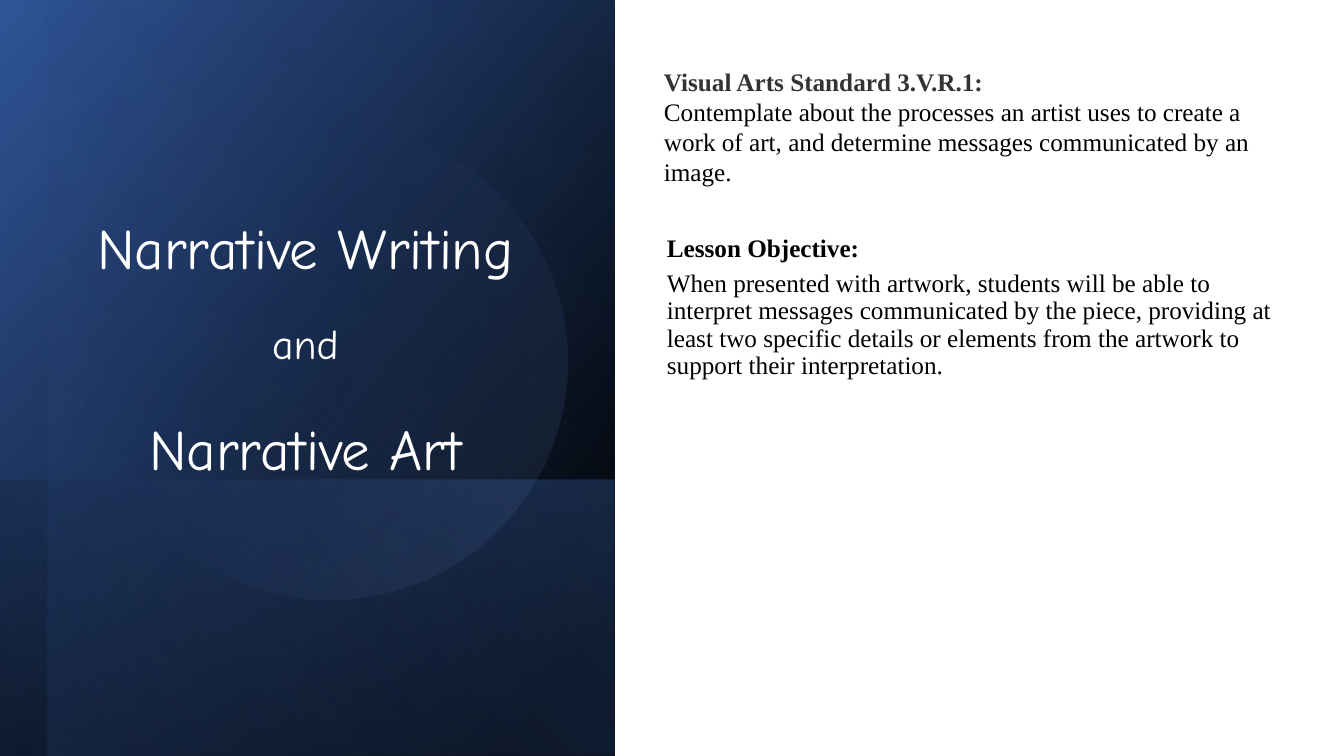
from dataclasses import dataclass

from pptx import Presentation
from pptx.dml.color import RGBColor
from pptx.enum.shapes import MSO_SHAPE
from pptx.enum.text import MSO_ANCHOR, MSO_AUTO_SIZE, PP_ALIGN
from pptx.oxml import parse_xml
from pptx.oxml.ns import nsdecls, qn
from pptx.slide import Slide
from pptx.text.text import TextFrame
from pptx.util import Emu, Pt

EMU_PER_PX = 914400 / 100.8
BLACK = RGBColor(0x00, 0x00, 0x00)
WHITE = RGBColor(0xFF, 0xFF, 0xFF)
CHARCOAL = RGBColor(0x33, 0x33, 0x33)
NAVY = RGBColor(0x2F, 0x55, 0x97)
BLUE = RGBColor(0x44, 0x72, 0xC4)
PALE_BLUE = RGBColor(0x8F, 0xAA, 0xDC)
TITLE_FONT = "Comic Neue"
BODY_FONT = "Times New Roman"


@dataclass(frozen=True)
class Box:
    left: int
    top: int
    width: int
    height: int


@dataclass(frozen=True)
class Stop:
    position: int
    color: RGBColor
    opacity: int = 100


@dataclass(frozen=True)
class Backdrop:
    """A gradient shape; its box is the area it covers after a quarter turn."""
    box: Box
    stops: tuple[Stop, Stop]
    angle: int
    preset: MSO_SHAPE = MSO_SHAPE.RECTANGLE
    rotation: float = 90
    mirrored: bool = True


@dataclass(frozen=True)
class Words:
    text: str
    size: float
    color: RGBColor = BLACK
    bold: bool = False
    font: str = BODY_FONT


@dataclass(frozen=True)
class Paragraph:
    """Its runs are parted by line breaks."""
    runs: tuple[Words, ...]
    space_after: float = 6
    line_spacing: float = 1.0
    align: PP_ALIGN = PP_ALIGN.LEFT


def px(length: float) -> Emu:
    return Emu(round(length * EMU_PER_PX))


def emu_box(box: Box) -> tuple[Emu, Emu, Emu, Emu]:
    return px(box.left), px(box.top), px(box.width), px(box.height)


def draw_backdrop(slide: Slide, backdrop: Backdrop) -> None:
    box = backdrop.box
    shift = (box.width - box.height) / 2
    shape = slide.shapes.add_shape(
        backdrop.preset, px(box.left + shift), px(box.top - shift),
        px(box.height), px(box.width))
    shape.rotation = backdrop.rotation
    shape.shadow.inherit = False
    shape.line.fill.background()
    stops = "".join(
        f'<a:gs pos="{stop.position * 1000}"><a:srgbClr val="{stop.color}">'
        f'<a:alpha val="{stop.opacity * 1000}"/></a:srgbClr></a:gs>'
        for stop in backdrop.stops)
    gradient = parse_xml(
        f'<a:gradFill {nsdecls("a")}><a:gsLst>{stops}</a:gsLst>'
        f'<a:lin ang="{backdrop.angle * 60000}" scaled="0"/></a:gradFill>')
    properties = shape._element.spPr
    properties.find(qn("a:prstGeom")).addnext(gradient)
    if backdrop.mirrored:
        properties.find(qn("a:xfrm")).set("flipH", "1")


def write(frame: TextFrame, paragraphs: tuple[Paragraph, ...], anchor: MSO_ANCHOR,
          auto_size: MSO_AUTO_SIZE = MSO_AUTO_SIZE.NONE,
          bottom_margin: int = 5) -> None:
    frame.word_wrap = True
    frame.auto_size = auto_size
    frame.vertical_anchor = anchor
    frame.margin_bottom = px(bottom_margin)
    for index, content in enumerate(paragraphs):
        paragraph = frame.add_paragraph() if index else frame.paragraphs[0]
        paragraph.alignment = content.align
        paragraph.line_spacing = content.line_spacing
        paragraph.space_before = Pt(0)
        paragraph.space_after = Pt(content.space_after)
        for position, words in enumerate(content.runs):
            if position:
                paragraph.add_line_break()
            run = paragraph.add_run()
            run.text = words.text
            run.font.name = words.font
            run.font.size = Pt(words.size)
            run.font.bold = words.bold
            run.font.color.rgb = words.color


def title_line(text: str, size: float, space_after: float) -> Paragraph:
    return Paragraph((Words(text, size, WHITE, font=TITLE_FONT),),
                     space_after, 0.7, PP_ALIGN.CENTER)


BACKDROPS = (
    Backdrop(Box(0, 0, 615, 756), (Stop(8, BLACK), Stop(100, NAVY)), 50),
    Backdrop(Box(-1, 480, 615, 276), (Stop(2, BLUE, 29), Stop(100, BLACK, 30)), 130),
    Backdrop(Box(48, 0, 567, 756), (Stop(0, BLACK, 0), Stop(99, BLUE, 11)), 130),
    Backdrop(Box(91, 124, 476, 476), (Stop(39, BLUE, 0), Stop(100, PALE_BLUE, 15)),
             290, MSO_SHAPE.OVAL, 101.6, False),
)
TITLE_BOX = Box(54, 205, 503, 373)
TITLE = (
    title_line("Narrative Writing", 40.8, 37),
    title_line("and", 29.8, 47),
    title_line("Narrative Art", 40.8, 0),
)
OBJECTIVE_BOX = Box(657, 173, 632, 306)
OBJECTIVE = (
    Paragraph((Words("Lesson Objective:", 18, bold=True),), line_spacing=0.9),
    Paragraph((Words(
        "When presented with artwork, students will be able to interpret messages "
        "communicated by the piece, providing at least two specific details or "
        "elements from the artwork to support their interpretation.", 18),),
        space_after=0, line_spacing=0.9),
)
STANDARD_BOX = Box(654, 61, 636, 132)
STANDARD = (
    Paragraph((
        Words("Visual Arts Standard 3.V.R.1:", 18, CHARCOAL, True),
        Words("Contemplate about the processes an artist uses to create a work of "
              "art, and determine messages communicated by an image.", 18),
    )),
)


def main() -> None:
    presentation = Presentation()
    presentation.slide_width, presentation.slide_height = px(1344), px(756)
    slide = presentation.slides.add_slide(
        presentation.slide_layouts.get_by_name("Title Only"))
    for backdrop in BACKDROPS:
        draw_backdrop(slide, backdrop)

    title = slide.shapes.title
    title.left, title.top, title.width, title.height = emu_box(TITLE_BOX)
    write(title.text_frame, TITLE, MSO_ANCHOR.BOTTOM, bottom_margin=98)
    # The placeholder comes first in the tree; bring it in front of the backdrops.
    slide.shapes._spTree.append(title._element)

    objective = slide.shapes.add_textbox(*emu_box(OBJECTIVE_BOX))
    write(objective.text_frame, OBJECTIVE, MSO_ANCHOR.MIDDLE, bottom_margin=42)
    standard = slide.shapes.add_textbox(*emu_box(STANDARD_BOX))
    write(standard.text_frame, STANDARD, MSO_ANCHOR.TOP,
          MSO_AUTO_SIZE.SHAPE_TO_FIT_TEXT)
    presentation.save("out.pptx")


if __name__ == "__main__":
    main()
